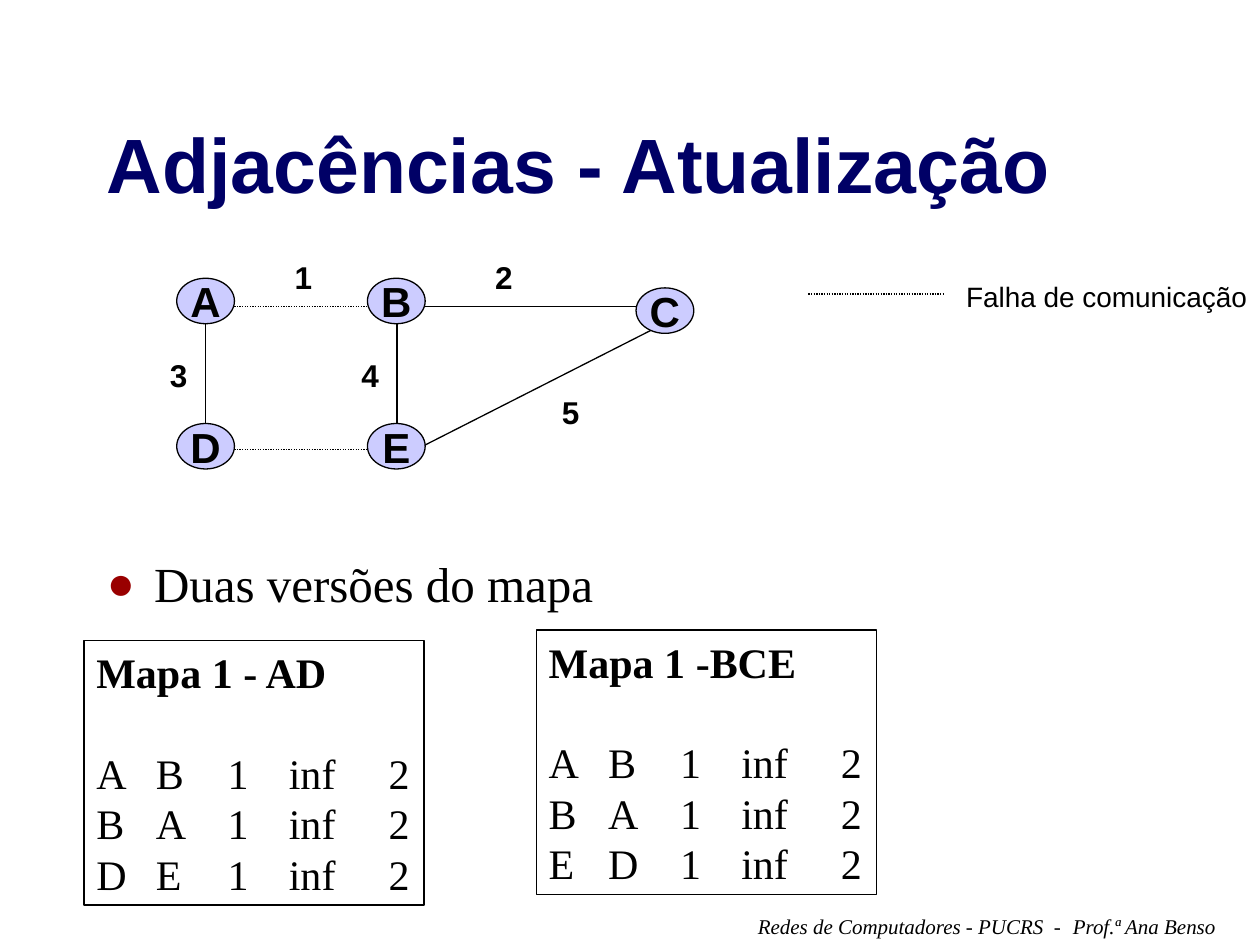
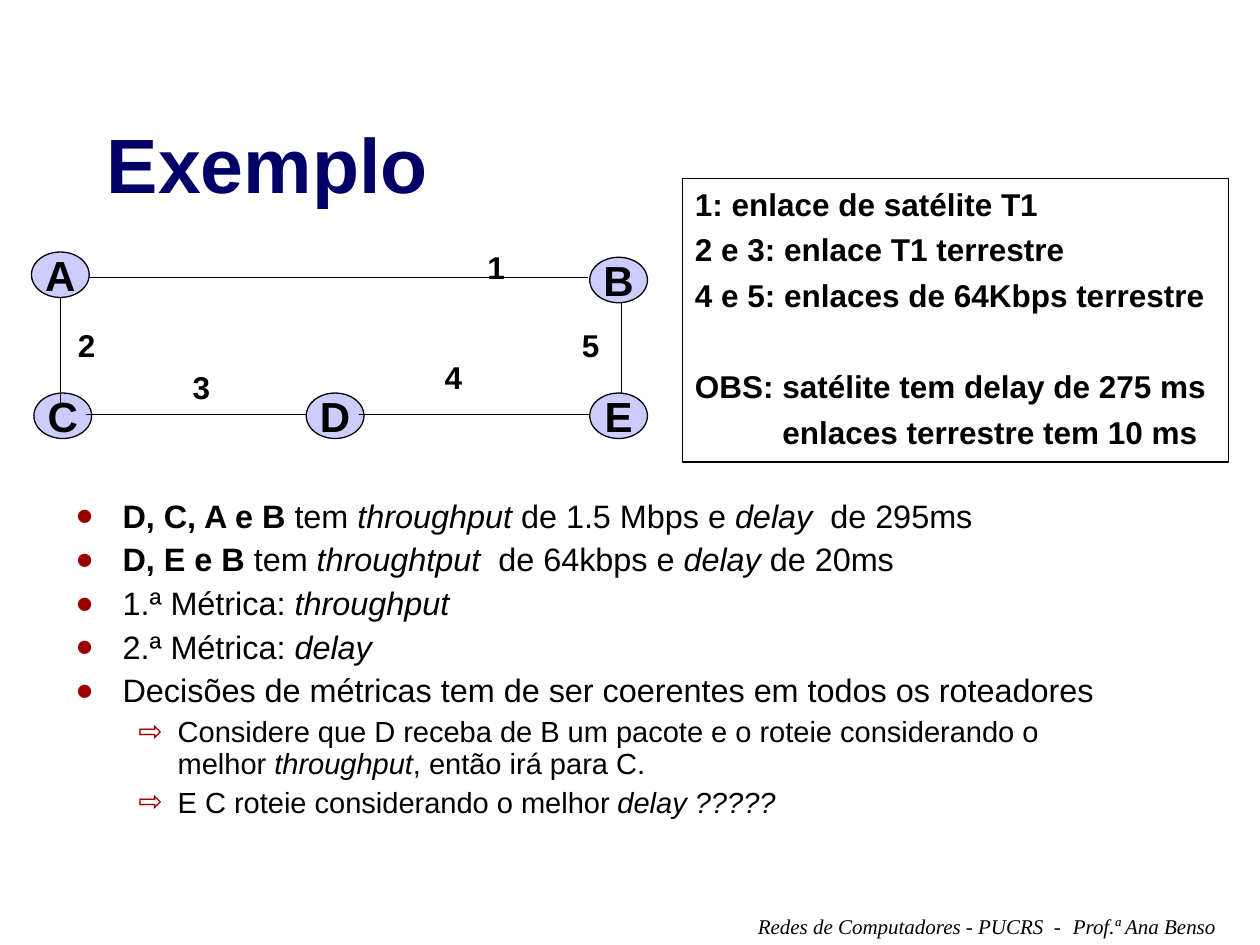
import pptx
import pptx.util
import pptx.dml.color
import pptx.enum.dml
import pptx.enum.shapes
import pptx.enum.text
import pptx.oxml
import pptx.oxml.ns

Pt = pptx.util.Pt
RGBColor = pptx.dml.color.RGBColor
SHAPE = pptx.enum.shapes.MSO_SHAPE
ANCHOR = pptx.enum.text.MSO_ANCHOR
ALIGN = pptx.enum.text.PP_ALIGN

BLACK = RGBColor(0x00, 0x00, 0x00)
WHITE = RGBColor(0xFF, 0xFF, 0xFF)
NAVY = RGBColor(0x00, 0x00, 0x66)
RED = RGBColor(0x99, 0x00, 0x00)
LILAC = RGBColor(0xCC, 0xCC, 0xFF)

SANS, SERIF = "Arial", "Times New Roman"
BOLD, ITALIC = {"bold": True}, {"italic": True}
TITLE = {"name": SANS, "size": Pt(44), "bold": True}
NODE = {"name": SANS, "size": Pt(24), "bold": True}
LABEL = {"name": SANS, "size": Pt(18), "bold": True}
LEGEND = {"name": SANS, "size": Pt(16)}
FOOTER = {"name": SERIF, "size": Pt(12), "italic": True}
MAP = {"name": SERIF, "size": Pt(24)}
TOPIC = {"name": SERIF, "size": Pt(28)}
POINT = {"name": SANS, "size": Pt(18.5)}
SUBPOINT = {"name": SANS, "size": Pt(16.6)}

LINE_WIDTH = 0.75
LEADING, TIGHT = 1.2, 1.08
NODE_SIZE = (33, 26)
LABEL_SIZE = (24.5, 28.8)
MAP_TABS = (34, 75, 110, 167)
# Bullet levels: character, size in percent, left margin, hanging indent
DOT = ("●", 95, 27, 27)
ARROW = ("⇨", 100, 58.5, 22.5)


class Deck:
    def __init__(self):
        self.prs = pptx.Presentation()
        self.prs.slide_width, self.prs.slide_height = Pt(720), Pt(540)
        self.s = None

    def slide(self, title):
        """Start a slide with its title and footers."""
        self.s = self.prs.slides.add_slide(self.prs.slide_layouts[6])
        self.text(606, 518.4, 96.5, 21.6, "Prof.ª Ana Benso", FOOTER, wrap=False)
        self.text(426, 518.4, 188, 21.6, "Redes de Computadores - PUCRS  -", FOOTER,
                  wrap=False)
        tf = self.text(54, 48, 612, 90, title, TITLE, NAVY)
        tf.vertical_anchor = ANCHOR.MIDDLE

    def box(self, x, y, w, h, wrap=True):
        sp = self.s.shapes.add_textbox(Pt(x), Pt(y), Pt(w), Pt(h))
        sp.text_frame.word_wrap = wrap
        return sp

    def text(self, x, y, w, h, text, style, color=BLACK, wrap=True):
        tf = self.box(x, y, w, h, wrap).text_frame
        self.paragraph(tf, [(text, {})], style, color)
        return tf

    def frame(self, x, y, w, h):
        """Outlined box; returns its text frame."""
        sp = self.box(x, y, w, h)
        sp.fill.solid()
        sp.fill.fore_color.rgb = WHITE
        sp.line.color.rgb = BLACK
        sp.line.width = Pt(LINE_WIDTH)
        return sp.text_frame

    def paragraph(self, tf, runs, style, color=BLACK, leading=LEADING, before=0):
        """Fill the first empty paragraph, or add one."""
        p = tf.paragraphs[-1] if not tf.text else tf.add_paragraph()
        p.line_spacing = Pt(round(style["size"].pt * leading, 2))
        p.space_before = Pt(before)
        for text, extra in runs:
            r = p.add_run()
            r.text = text
            for key, value in {**style, **extra}.items():
                setattr(r.font, key, value)
            r.font.color.rgb = color
        return p

    def indent(self, p, left, hanging=0):
        pPr = p._p.get_or_add_pPr()
        pPr.set("marL", str(Pt(left)))
        pPr.set("indent", str(-Pt(hanging)))
        return pPr

    def append(self, parent, tag, **attrs):
        el = pptx.oxml.parse_xml(f"<a:{tag} {pptx.oxml.ns.nsdecls('a')}/>")
        for key, value in attrs.items():
            el.set(key, str(value))
        parent.append(el)
        return el

    def bullet(self, tf, runs, style, level, before, leading=LEADING):
        char, percent, left, hanging = level
        p = self.paragraph(tf, runs, style, leading=leading, before=before)
        pPr = self.indent(p, left, hanging)
        self.append(self.append(pPr, "buClr"), "srgbClr", val=RED)
        self.append(pPr, "buSzPct", val=percent * 1000)
        self.append(pPr, "buFont", typeface=SANS)
        self.append(pPr, "buChar", char=char)

    def tabs(self, p, stops):
        tab_list = self.append(p._p.get_or_add_pPr(), "tabLst")
        for stop in stops:
            self.append(tab_list, "tab", pos=Pt(stop), algn="l")

    def link(self, x1, y1, x2, y2, failed=False):
        sp = self.s.shapes.add_connector(
            pptx.enum.shapes.MSO_CONNECTOR.STRAIGHT, Pt(x1), Pt(y1), Pt(x2), Pt(y2))
        sp.line.color.rgb = BLACK
        sp.line.width = Pt(LINE_WIDTH)
        if failed:
            sp.line.dash_style = pptx.enum.dml.MSO_LINE.ROUND_DOT
        self.append(sp._element.spPr, "effectLst")

    def nodes(self, places):
        w, h = NODE_SIZE
        for name, (x, y) in places.items():
            sp = self.s.shapes.add_shape(SHAPE.OVAL, Pt(x), Pt(y), Pt(w), Pt(h))
            sp.shadow.inherit = False
            sp.fill.solid()
            sp.fill.fore_color.rgb = LILAC
            sp.line.color.rgb = BLACK
            sp.line.width = Pt(LINE_WIDTH)
            tf = sp.text_frame
            tf.word_wrap = False
            tf.vertical_anchor = ANCHOR.MIDDLE
            self.paragraph(tf, [(name, {})], NODE).alignment = ALIGN.CENTER

    def labels(self, places):
        """Number the links from 1."""
        for number, (x, y) in enumerate(places, 1):
            self.text(x, y, *LABEL_SIZE, str(number), LABEL)

    def route_map(self, x, y, title, rows):
        tf = self.frame(x, y, 194.4, 151.2)
        self.paragraph(tf, [(title, BOLD)], MAP)
        for i, row in enumerate(rows):
            gap = MAP["size"].pt * LEADING if i == 0 else 0
            p = self.paragraph(tf, [("\t".join(row), {})], MAP, before=gap)
            self.tabs(p, MAP_TABS)


def build_update(d):
    d.slide("Adjacências - Atualização")

    # Network with the failed links dotted
    d.link(128, 175, 215, 175, failed=True)
    d.link(128, 257, 215, 257, failed=True)
    d.link(237.6, 175, 368.6, 175)
    d.link(117.4, 185, 117.4, 247)
    d.link(226.8, 185, 226.8, 247)
    d.link(237.6, 257, 379.4, 185)
    d.labels([(161.3, 144), (275.8, 144), (90, 200), (199.4, 200), (314, 221)])
    left, middle, top, bottom = 101, 210, 159, 242
    d.nodes({"A": (left, top), "B": (middle, top), "C": (363.5, 164.5),
             "D": (left, bottom), "E": (middle, bottom)})

    # Legend
    d.link(462, 168, 540, 168, failed=True)
    d.text(545, 156.2, 175, 26.6, "Falha de comunicação", LEGEND, wrap=False)

    # Two versions of the map
    tf = d.box(54, 313, 612, 42).text_frame
    d.bullet(tf, [("Duas versões do mapa", {})], TOPIC, DOT, 7)
    cost = ["1", "inf", "2"]
    shared = [["A", "B"] + cost, ["B", "A"] + cost]
    d.route_map(48, 366, "Mapa 1 - AD", shared + [["D", "E"] + cost])
    d.route_map(306.5, 360, "Mapa 1 -BCE", shared + [["E", "D"] + cost])


def build_example(d):
    d.slide("Exemplo")

    # Link descriptions
    tf = d.frame(390, 102, 312, 162)
    step = 4.5
    for text in ("1: enlace de satélite T1", "2 e 3: enlace T1 terrestre",
                 "4 e 5: enlaces de 64Kbps terrestre"):
        d.paragraph(tf, [(text, {})], LABEL, before=step)
    d.paragraph(tf, [("OBS: satélite tem delay de 275 ms", {})], LABEL,
                before=2 * step + LABEL["size"].pt * LEADING)
    p = d.paragraph(tf, [("enlaces terrestre tem 10 ms", {})], LABEL, before=step)
    d.indent(p, 50)

    # Network
    bottom, right = 224.6, 337
    d.labels([(271.4, 138.2), (37.4, 183), (103, 206.6), (247, 201), (325.4, 183)])
    d.nodes({"C": (19.4, bottom), "D": (175, bottom)})
    d.link(34.6, 170, 34.6, 231)
    d.link(49, 237, 175, 237)
    d.link(205.2, 237, 343.4, 237)
    d.link(355, 170.6, 355, 224.6)
    d.link(48.2, 158.4, 336.2, 158.4)
    d.nodes({"E": (right, bottom), "A": (18, 144), "B": (right, 147)})

    # Discussion
    tf = d.box(36, 282, 618, 216).text_frame
    points = [
        [("D, C, A e B ", BOLD), ("tem ", {}), ("throughput ", ITALIC),
         ("de 1.5 Mbps e ", {}), ("delay ", ITALIC), (" de 295ms", {})],
        [("D, E e B ", BOLD), ("tem ", {}), ("throughtput ", ITALIC),
         (" de 64kbps e ", {}), ("delay", ITALIC), (" de 20ms", {})],
        [("1.ª Métrica: ", {}), ("throughput", ITALIC)],
        [("2.ª Métrica: ", {}), ("delay", ITALIC)],
        [("Decisões de métricas tem de ser coerentes em todos os roteadores", {})],
    ]
    subpoints = [
        [("Considere que D receba de B um pacote e o roteie considerando o melhor ", {}),
         ("throughput", ITALIC), (", então irá para C.", {})],
        [("E C roteie considerando o melhor ", {}), ("delay ?????", ITALIC)],
    ]
    for runs in points:
        d.bullet(tf, runs, POINT, DOT, 5, TIGHT)
    for runs in subpoints:
        d.bullet(tf, runs, SUBPOINT, ARROW, 4.5, TIGHT)


def main():
    d = Deck()
    build_update(d)
    build_example(d)
    d.prs.save("out.pptx")


if __name__ == "__main__":
    main()
